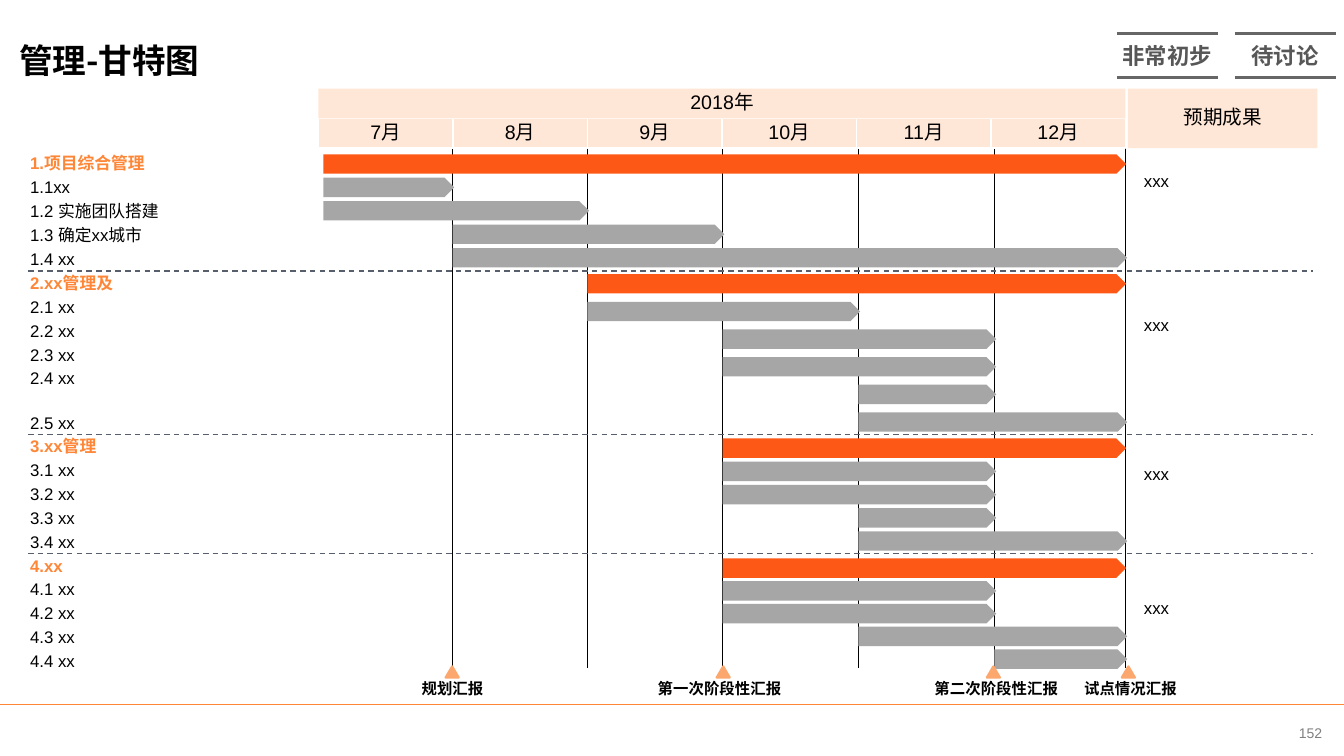
from lxml.etree import SubElement
from pptx import Presentation
from pptx.dml.color import RGBColor
from pptx.enum.dml import MSO_LINE
from pptx.enum.shapes import MSO_CONNECTOR, MSO_SHAPE as SHAPE
from pptx.enum.text import MSO_ANCHOR as ANCHOR, MSO_AUTO_SIZE as AUTO, PP_ALIGN as ALIGN
from pptx.oxml.ns import qn
from pptx.util import Pt

BLACK = RGBColor(0, 0, 0)
WHITE = RGBColor(0xFF, 0xFF, 0xFF)
PEACH = RGBColor(0xFF, 0xE7, 0xD7)
HEADING = RGBColor(0xFE, 0x86, 0x37)
PHASE_BAR = RGBColor(0xFE, 0x58, 0x17)
TASK_BAR = RGBColor(0xA6, 0xA6, 0xA6)
MARKER = RGBColor(0xFC, 0xA7, 0x6D)
DIVIDER = RGBColor(0x57, 0x5F, 0x6D)
TAG_TEXT = RGBColor(0x57, 0x57, 0x57)
TAG_LINE = RGBColor(0x66, 0x66, 0x66)
PAGE_GRAY = RGBColor(0x80, 0x80, 0x80)
LATIN, CJK = "Arial", "Noto Sans CJK SC"

# Left edge of the chart, then the end of each month from July to December
EDGES = [231, 323.3, 419.6, 516.2, 613.2, 710.4, 804]
ROW, BAR_H, LABEL_H = 17.05, 13.8, 21.5
LABEL_X, LABEL_W, RESULT_X, RESULT_W = 14.4, 221, 810, 123.8

# Section: label top, bar top, bar step, result top,
# rows of (label, first month edge, last month edge, extra gap above label)
SECTIONS = [
    (105.8, 110.2, 16.75, 118.1, [
        ("1.项目综合管理", 0, 6, 0), ("1.1xx", 0, 1, 0), ("1.2 实施团队搭建", 0, 2, 0),
        ("1.3 确定xx城市", 1, 3, 0), ("1.4 xx", 1, 6, 0)]),
    (191.2, 195.8, 19.75, 221, [
        ("2.xx管理及", 2, 6, 0), ("2.1 xx", 2, 4, 0), ("2.2 xx", 3, 5, 0),
        ("2.3 xx", 3, 5, 0), ("2.4 xx", 4, 5, 0), ("2.5 xx", 4, 6, 14.6)]),
    (307.8, 313.2, 16.6, 327.6, [
        ("3.xx管理", 3, 6, 0), ("3.1 xx", 3, 5, 0), ("3.2 xx", 3, 5, 0),
        ("3.3 xx", 4, 5, 0), ("3.4 xx", 4, 6, 0)]),
    (393.1, 398.9, 16.25, 423.4, [
        ("4.xx", 3, 6, 0), ("4.1 xx", 3, 5, 0), ("4.2 xx", 3, 5, 0),
        ("4.3 xx", 4, 6, 0), ("4.4 xx", 5, 6, 0)]),
]
# Marker centre, label centre, label
MILESTONES = [(323, 323.3, "规划汇报"), (516.6, 514, "第一次阶段性汇报"),
              (709.6, 711.7, "第二次阶段性汇报"), (806, 807.5, "试点情况汇报")]


def write(tf, text, size, color=BLACK, bold=False, align=ALIGN.LEFT, latin=LATIN, **para):
    p = tf.paragraphs[0]
    for name, value in {"alignment": align, **para}.items():
        setattr(p, name, value)
    r = p.add_run()
    r.text = text
    for name, value in {"size": Pt(size), "bold": bold, "name": latin}.items():
        setattr(r.font, name, value)
    r.font.color.rgb = color
    SubElement(r.font._element, qn("a:ea"), typeface=CJK)


def add_text(shapes, box, text, size, anchor=ANCHOR.TOP, wrap=True, inset=None, **style):
    tf = shapes.add_textbox(*map(Pt, box)).text_frame
    tf.word_wrap, tf.vertical_anchor = wrap, anchor
    if inset is not None:
        for side in ("left", "top", "right", "bottom"):
            setattr(tf, f"margin_{side}", Pt(inset))
    write(tf, text, size, **style)


def add_block(shapes, kind, box, fill, line=None, width=1):
    sp = shapes.add_shape(kind, *map(Pt, box))
    sp.shadow.inherit = False
    sp.fill.solid()
    sp.fill.fore_color.rgb = fill
    if line is None:
        sp.line.fill.background()
    else:
        sp.line.color.rgb, sp.line.width = line, Pt(width)
    return sp


def add_line(shapes, x1, y1, x2, y2, color, width, dash=None):
    ln = shapes.add_connector(MSO_CONNECTOR.STRAIGHT, *map(Pt, (x1, y1, x2, y2)))
    ln.line.color.rgb, ln.line.width = color, Pt(width)
    if dash:
        ln.line.dash_style = dash
    SubElement(ln._element.spPr, qn("a:effectLst"))


def add_title(s, box, text):
    title = s.shapes.title
    title.left, title.top, title.width, title.height = map(Pt, box)
    tf = title.text_frame
    formats = {"margin_left": 0, "margin_top": 0, "margin_right": 0, "margin_bottom": 0,
               "word_wrap": True, "auto_size": AUTO.NONE, "vertical_anchor": ANCHOR.MIDDLE}
    for name, value in formats.items():
        setattr(tf, name, value)
    write(tf, text, 24, bold=True, latin=CJK)


def add_tag(s, box, text):
    x, y, w, h = box
    group = s.shapes.add_group_shape().shapes
    # No inset, so that four characters fit on one line
    add_text(group, box, text, 16, anchor=ANCHOR.MIDDLE, wrap=False, inset=0,
             color=TAG_TEXT, bold=True, align=ALIGN.CENTER)
    for edge in (y, y + h):
        add_line(group, x, edge, x + w, edge, TAG_LINE, 2)


def add_footer(s, box, number):
    x, y, w, h = box
    add_line(s.shapes, x, y, x + w, y, HEADING, 1)
    add_text(s.shapes, (x + w - 48, y + 3.6, 48, h - 3.6), number, 10, anchor=ANCHOR.MIDDLE,
             inset=0, color=PAGE_GRAY, align=ALIGN.CENTER)


def add_header(s, box):
    x, y, w, h = box
    year_w, result_w, half = 576.4, 135.4, h / 2
    month_w = year_w / 6
    cells = [(f"{7 + i}月", (x + i * month_w, y + half, month_w, half), WHITE) for i in range(6)]
    cells += [("2018年", (x, y, year_w, half), None),
              ("预期成果", (x + w - result_w, y, result_w, h), None)]
    for text, cell, line in cells:
        sp = add_block(s.shapes, SHAPE.RECTANGLE, cell, PEACH, line)
        sp.text_frame.vertical_anchor = ANCHOR.MIDDLE
        write(sp.text_frame, text, 14, align=ALIGN.CENTER, line_spacing=0.9, space_after=Pt(10))


def add_section(s, section, divided):
    y, bar_y, step, result_y, rows = section
    for i, (text, first, last, gap) in enumerate(rows):
        # The first row is the phase, the others are its tasks
        color, fill = (HEADING, PHASE_BAR) if i == 0 else (BLACK, TASK_BAR)
        add_text(s.shapes, (LABEL_X, y + i * ROW + gap, LABEL_W, LABEL_H), text, 12,
                 color=color, bold=i == 0)
        left, right = EDGES[first], EDGES[last] + (0.4 if i == 0 else 1.2)
        add_block(s.shapes, SHAPE.PENTAGON, (left, bar_y + i * step, right - left, BAR_H), fill)
    add_text(s.shapes, (RESULT_X, result_y, RESULT_W, LABEL_H), "xxx", 12)
    if divided:
        add_line(s.shapes, 20, y + 2.5, 938, y + 2.5, DIVIDER, 1, MSO_LINE.DASH)


def add_milestones(s, y):
    for x, label_x, text in MILESTONES:
        add_block(s.shapes, SHAPE.ISOSCELES_TRIANGLE, (x - 4.7, y, 9.4, 8), MARKER, MARKER, 1.5)
        w = 8 + 12.7 * len(text)
        add_text(s.shapes, (label_x - w / 2, y + 5.8, w, 20.6), text, 11,
                 bold=True, align=ALIGN.CENTER)


def main():
    prs = Presentation()
    prs.slide_width, prs.slide_height = Pt(960), Pt(540)
    s = prs.slides.add_slide(prs.slide_layouts[5])

    # Title, status tags and footer
    add_title(s, (13.7, 14.4, 780, 56.9), "管理-甘特图")
    add_footer(s, (0, 503.3, 960, 36.7), "152")
    for x, text in ((797.8, "非常初步"), (882, "待讨论")):
        add_tag(s, (x, 23.8, 72, 31.6), text)

    # Month grid and header
    for x in EDGES[1:]:
        add_line(s.shapes, x, 105.8, x, 477.4, BLACK, 0.25)
    add_header(s, (227.5, 63.4, 713.6, 42.4))

    # Phases with their tasks, then milestones
    for i, section in enumerate(SECTIONS):
        add_section(s, section, divided=i > 0)
    add_milestones(s, 476)

    prs.save("out.pptx")


if __name__ == "__main__":
    main()
